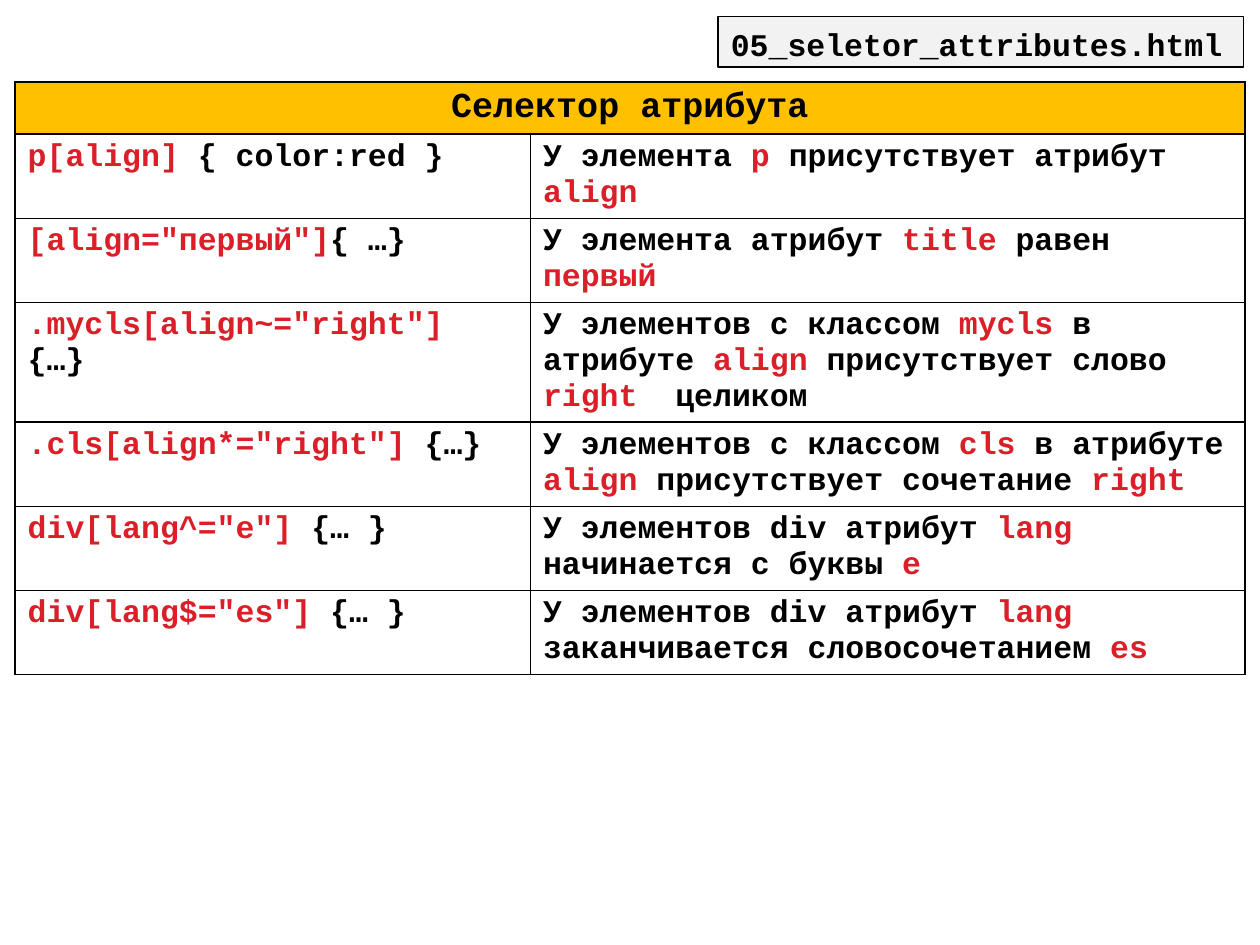
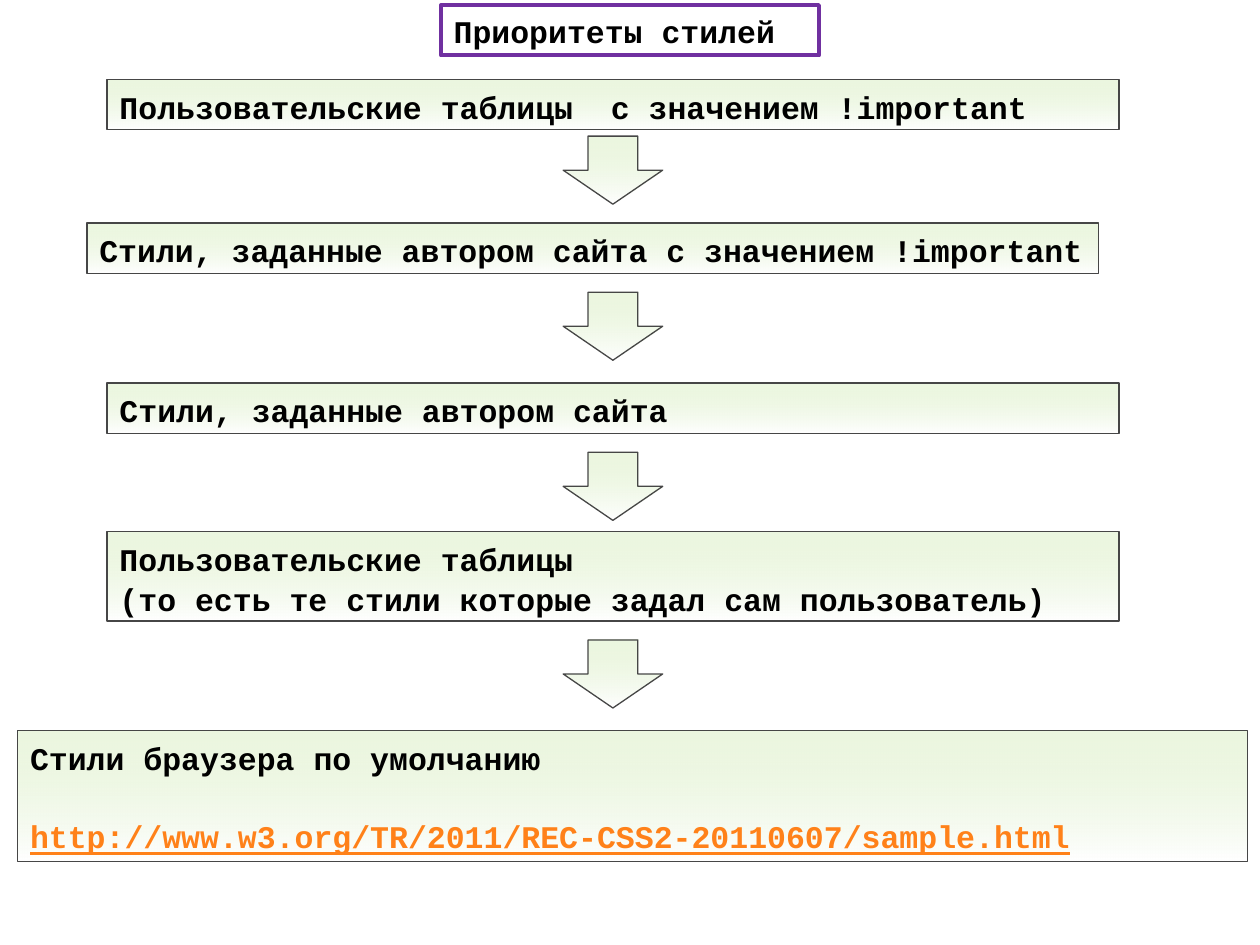
"""Build two slides on CSS attribute selectors and style priorities."""
from dataclasses import dataclass

from lxml import etree
from pptx import Presentation
from pptx.dml.color import RGBColor
from pptx.enum.shapes import MSO_SHAPE
from pptx.enum.text import MSO_ANCHOR, MSO_AUTO_SIZE, PP_ALIGN
from pptx.oxml.ns import qn
from pptx.util import Pt

RECTANGLE, DOWN_ARROW = MSO_SHAPE.RECTANGLE, MSO_SHAPE.DOWN_ARROW
TOP, MIDDLE = MSO_ANCHOR.TOP, MSO_ANCHOR.MIDDLE
LEFT, CENTER = PP_ALIGN.LEFT, PP_ALIGN.CENTER
NO_AUTOFIT = MSO_AUTO_SIZE.NONE
TITLE_ONLY_LAYOUT = 5

COLORS = {
    "text": "000000",
    "selector": "DA1F28",
    "header": "FFC000",
    "label": "F2F2F2",
    "title_line": "7030A0",
    "step": "D8EEC0",
    "step_end": "FFFFFF",
    "step_line": "464646",
    "link": "FF8119",
}
CODE_FONT = {"name": "Courier New", "size": Pt(18), "bold": True}
HEADER_FONT = CODE_FONT | {"size": Pt(20)}
LINK_FONT = CODE_FONT | {"underline": True}
BOX_FRAME = {
    "word_wrap": True,
    "auto_size": NO_AUTOFIT,
    "margin_left": Pt(7.2),
    "margin_right": Pt(7.2),
    "margin_top": Pt(3.6),
    "margin_bottom": Pt(3.6),
}
BOX_PARAGRAPH = {"alignment": LEFT, "line_spacing": 1.06}
BOX_LINE_HEIGHT = 21.6
STEP_ALPHA = "48000"


@dataclass(frozen=True)
class Box:
    """A rectangle in points."""

    left: float
    top: float
    width: float
    height: float

    def lengths(self) -> tuple:
        """Return the four lengths for a shape call."""
        return Pt(self.left), Pt(self.top), Pt(self.width), Pt(self.height)


@dataclass(frozen=True)
class Step:
    """One level of style priority and the gap to the arrow below it."""

    box: Box
    text: str
    arrow_gap: float | None = 10.8
    link: str = ""


TABLE_BOX = Box(8.64, 46.8, 702.72, 339)
COLUMN_WIDTHS = (294.48, 408.24)
HEADER_HEIGHT, CELL_LINE_HEIGHT, CELL_PADDING = 29.5, 20.4, 7.2
TABLE_TITLE = "Селектор атрибута"
# A vertical bar switches between plain and selector colour.
SELECTOR_ROWS = (
    ("|p[align] |{ color:red }", "У элемента |p |присутствует атрибут\n|align", 2),
    ('|[align="первый"]|{ …}', "У элемента атрибут |title |равен\n|первый", 2),
    (
        '|.mycls[align~="right"] |{…}',
        "У элементов с классом |mycls |в атрибуте |align |присутствует слово |right  |целиком",
        3,
    ),
    (
        '|.cls[align*="right"] |{…}',
        "У элементов с классом |cls |в атрибуте |align |присутствует сочетание |right",
        2,
    ),
    ('|div[lang^="е"] |{… }', "У элементов div атрибут |lang |начинается с буквы |e", 2),
    (
        '|div[lang$="es"] |{… }',
        "У элементов div атрибут |lang |заканчивается словосочетанием |es",
        2,
    ),
)

ARROW_LEFT, ARROW_WIDTH, ARROW_HEIGHT = 321.8, 56.9, 38.9
STEPS = (
    Step(
        Box(61.2, 45.4, 578.2, 28.8),
        "Пользовательские таблицы  с значением !important",
        arrow_gap=3.6,
    ),
    Step(
        Box(49.7, 127.4, 578.2, 28.8),
        "Стили, заданные автором сайта с значением !important",
    ),
    Step(Box(61.2, 218.9, 578.2, 28.8), "Стили, заданные автором сайта"),
    Step(
        Box(61.2, 303.8, 578.2, 51.1),
        "Пользовательские таблицы\n(то есть те стили которые задал сам пользователь)",
    ),
    Step(
        Box(10.1, 417.6, 702.7, 74.9),
        "Стили браузера по умолчанию",
        arrow_gap=None,
        link="http://www.w3.org/TR/2011/REC-CSS2-20110607/sample.html",
    ),
)


def color(name: str) -> RGBColor:
    """Return a named colour."""
    return RGBColor.from_string(COLORS[name])


def apply_format(target, values: dict) -> None:
    """Set every attribute of a format dict on an object."""
    for name, value in values.items():
        setattr(target, name, value)


def add_run(paragraph, text: str, font: dict, color_name: str) -> None:
    """Append a formatted run to a paragraph."""
    run = paragraph.add_run()
    run.text = text
    apply_format(run.font, font)
    run.font.color.rgb = color(color_name)


def write_text(text_frame, text: str, paragraph_format: dict, font: dict = CODE_FONT) -> None:
    """Write lines as paragraphs, colouring the parts between bars."""
    for line_index, line in enumerate(text.split("\n")):
        paragraph = text_frame.add_paragraph() if line_index else text_frame.paragraphs[0]
        apply_format(paragraph, paragraph_format)
        for part_index, part in enumerate(line.split("|")):
            if part:
                add_run(paragraph, part, font, "selector" if part_index % 2 else "text")


def write_box(shape, text: str, anchor=TOP) -> None:
    """Format the text frame of a box and write its text."""
    apply_format(shape.text_frame, BOX_FRAME | {"vertical_anchor": anchor})
    write_text(shape.text_frame, text, BOX_PARAGRAPH)


def set_outline(shape, color_name: str, width: float) -> None:
    """Give a shape a solid outline."""
    shape.line.color.rgb = color(color_name)
    shape.line.width = Pt(width)


def place_title(slide, box: Box, text: str, line_color: str, line_width: float, anchor):
    """Turn the title placeholder into a framed box."""
    title = slide.shapes.title
    title.left, title.top, title.width, title.height = box.lengths()
    set_outline(title, line_color, line_width)
    write_box(title, text, anchor)
    return title


def format_cell(cell, fill_name: str | None = None) -> None:
    """Give a cell black borders and an optional solid fill."""
    properties = cell._tc.get_or_add_tcPr()
    for side in ("lnL", "lnR", "lnT", "lnB"):
        line = etree.SubElement(properties, qn(f"a:{side}"), w=str(Pt(1)))
        fill = etree.SubElement(line, qn("a:solidFill"))
        etree.SubElement(fill, qn("a:srgbClr"), val=COLORS["text"])
    if fill_name:
        cell.fill.solid()
        cell.fill.fore_color.rgb = color(fill_name)
    else:
        cell.fill.background()


def add_selector_table(slide) -> None:
    """Add the table of attribute selectors."""
    row_count = len(SELECTOR_ROWS) + 1
    table = slide.shapes.add_table(row_count, len(COLUMN_WIDTHS), *TABLE_BOX.lengths()).table
    apply_format(table, {"first_row": False, "horz_banding": False})
    for column, width in zip(table.columns, COLUMN_WIDTHS):
        column.width = Pt(width)
    table.rows[0].height = Pt(HEADER_HEIGHT)
    header = table.cell(0, 0)
    header.merge(table.cell(0, 1))
    for cell in table.rows[0].cells:
        format_cell(cell, "header")
    write_text(header.text_frame, TABLE_TITLE, {"alignment": CENTER}, HEADER_FONT)
    for row_index, (*texts, line_count) in enumerate(SELECTOR_ROWS, start=1):
        row = table.rows[row_index]
        row.height = Pt(line_count * CELL_LINE_HEIGHT + CELL_PADDING)
        for cell, text in zip(row.cells, texts):
            format_cell(cell)
            write_text(cell.text_frame, text, {"alignment": LEFT})


def add_gradient_shape(slide, kind, box: Box):
    """Add a shape that fades from pale green to white."""
    shape = slide.shapes.add_shape(kind, *box.lengths())
    shape.shadow.inherit = False
    shape.fill.gradient()
    shape.fill.gradient_angle = 270
    for stop, name in zip(shape.fill.gradient_stops, ("step", "step_end")):
        stop.color.rgb = color(name)
    first_color = shape.element.spPr.find(f".//{qn('a:srgbClr')}")
    etree.SubElement(first_color, qn("a:alpha"), val=STEP_ALPHA)
    set_outline(shape, "step_line", 0.75)
    return shape


def add_step(slide, step: Step) -> None:
    """Add a priority box and the arrow that follows it."""
    shape = add_gradient_shape(slide, RECTANGLE, step.box)
    write_box(shape, step.text)
    if step.link:
        paragraph = shape.text_frame.add_paragraph()
        apply_format(paragraph, BOX_PARAGRAPH | {"space_before": Pt(BOX_LINE_HEIGHT)})
        add_run(paragraph, step.link, LINK_FONT, "link")
    if step.arrow_gap is not None:
        arrow_top = step.box.top + step.box.height + step.arrow_gap
        arrow_box = Box(ARROW_LEFT, arrow_top, ARROW_WIDTH, ARROW_HEIGHT)
        add_gradient_shape(slide, DOWN_ARROW, arrow_box)


def build_selector_slide(presentation) -> None:
    """Build the slide with the attribute selector table."""
    slide = presentation.slides.add_slide(presentation.slide_layouts[TITLE_ONLY_LAYOUT])
    label_box = Box(410.4, 9.4, 300.2, 28.8)
    label = place_title(slide, label_box, "05_seletor_attributes.html", "text", 1, TOP)
    label.fill.solid()
    label.fill.fore_color.rgb = color("label")
    add_selector_table(slide)


def build_priority_slide(presentation) -> None:
    """Build the slide with the chain of style priorities."""
    slide = presentation.slides.add_slide(presentation.slide_layouts[TITLE_ONLY_LAYOUT])
    title_box = Box(252, 2.9, 216, 28.8)
    place_title(slide, title_box, "Приоритеты стилей", "title_line", 2.25, MIDDLE)
    for step in STEPS:
        add_step(slide, step)


def main() -> None:
    """Build and save the presentation."""
    presentation = Presentation()
    presentation.slide_width, presentation.slide_height = Pt(720), Pt(540)
    build_selector_slide(presentation)
    build_priority_slide(presentation)
    presentation.save("out.pptx")


if __name__ == "__main__":
    main()
